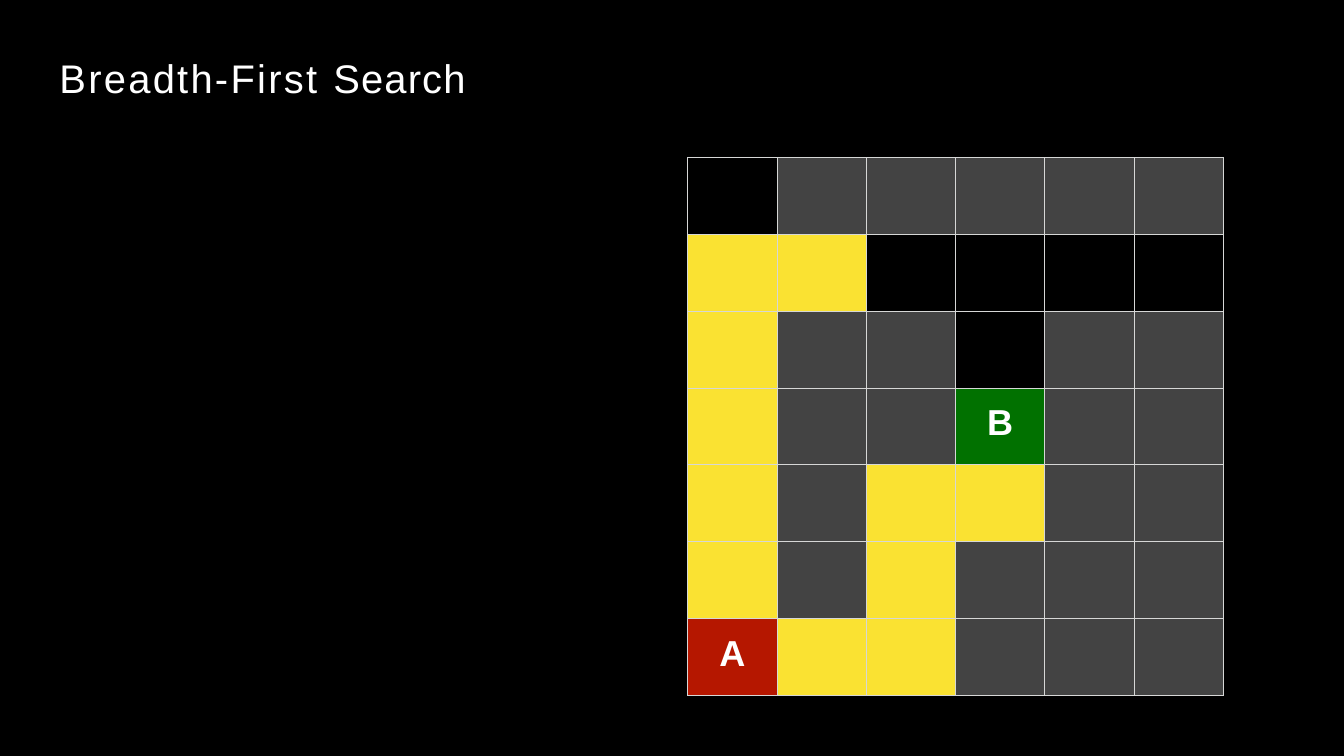
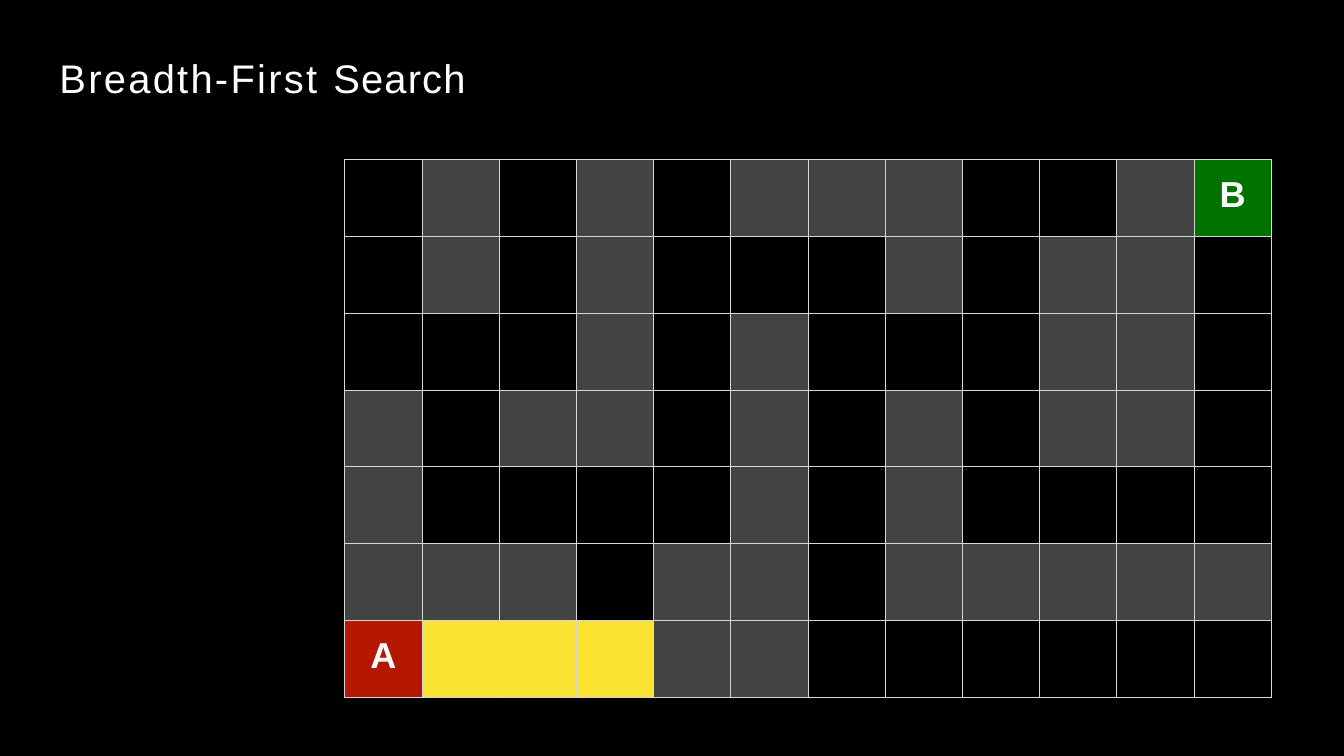
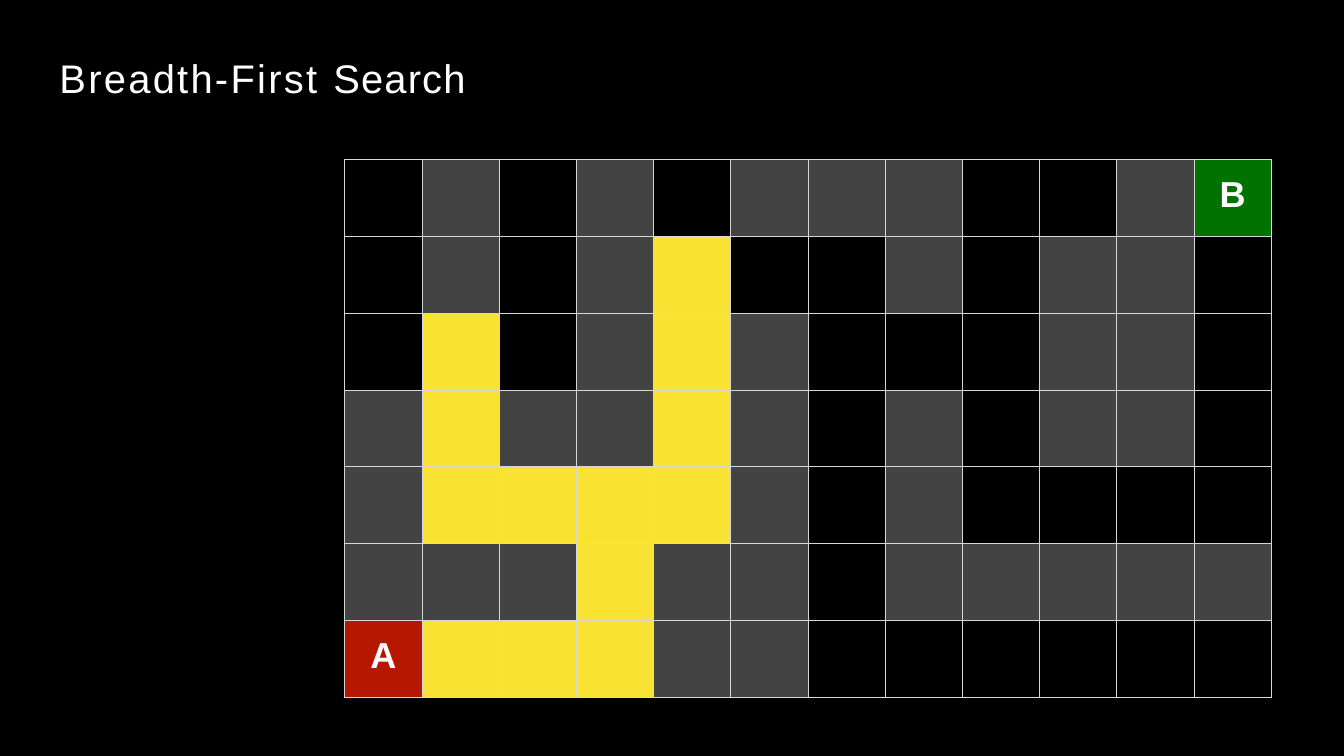
from lxml import etree
from pptx import Presentation
from pptx.dml.color import RGBColor
from pptx.enum import text as tx
from pptx.oxml.ns import qn
from pptx.util import Pt

HEX = {
    "back": "000000",
    "ink": "FFFFFF",
    "line": "D6D7D6",
    ".": "000000",
    "#": "434343",
    "*": "FAE232",
    "A": "B51700",
    "B": "017100",
}
FONT = "Arial"
WIDE, HIGH = Pt(1583), Pt(890.5)
ROW = 90.53

SMALL = """
.#####
**....
*##.##
*##B##
*#**##
*#*###
A**###
"""
LARGE = """
.#.#.###..#B
.#.#+..#.##.
.+.#+#...##.
#+##+#.#.##.
#++++#.#....
###+##.#####
A***##......
"""
MAZES = [
    (SMALL, 810, 185.5, 105.15),
    (LARGE.replace("+", "."), 406, 187.8, 90.95),
    (LARGE.replace("+", "*"), 406, 187.8, 90.95),
]


def write(para, words, size=42.5, bold=False, space=0, align=tx.PP_ALIGN.LEFT):
    para.alignment = align
    run = para.add_run()
    run.text = words
    font = run.font
    font.name, font.size, font.bold = FONT, Pt(size), bold
    font.color.rgb = RGBColor.from_string(HEX["ink"])
    if space:
        font._element.set("spc", str(round(space * 100)))


def border(cell):
    props = cell._tc.get_or_add_tcPr()
    for side in ("lnL", "lnR", "lnT", "lnB"):
        line = etree.SubElement(props, qn("a:" + side), w=str(Pt(1)))
        fill = etree.SubElement(line, qn("a:solidFill"))
        etree.SubElement(fill, qn("a:srgbClr"), val=HEX["line"])


prs = Presentation()
prs.slide_width, prs.slide_height = WIDE, HIGH

for maze, left, top, width in MAZES:
    slide = prs.slides.add_slide(prs.slide_layouts[5])

    title = slide.shapes.title
    title.left, title.top, title.width, title.height = Pt(69), Pt(62), Pt(481), Pt(58.5)
    frame = title.text_frame
    frame.margin_left = frame.margin_right = frame.margin_bottom = 0
    frame.margin_top = Pt(1)
    frame.vertical_anchor = tx.MSO_ANCHOR.TOP
    frame.auto_size = tx.MSO_AUTO_SIZE.SHAPE_TO_FIT_TEXT
    frame.word_wrap = True
    head = frame.paragraphs[0]
    head._p.get_or_add_pPr().set("marL", str(Pt(1)))
    write(head, "Breadth-First ", size=47, space=2.7)
    write(head, "Search", size=47, space=1.4)

    rows = maze.split()
    high, wide = len(rows), len(rows[0])
    table = slide.shapes.add_table(
        high, wide, Pt(left), Pt(top), Pt(width * wide), Pt(ROW * high)
    ).table
    table.first_row = table.horz_banding = False
    for col in table.columns:
        col.width = Pt(width)
    for y, row in enumerate(rows):
        table.rows[y].height = Pt(ROW)
        for x, mark in enumerate(row):
            cell = table.cell(y, x)
            border(cell)
            cell.fill.solid()
            cell.fill.fore_color.rgb = RGBColor.from_string(HEX[mark])
            if mark in "AB":
                cell.margin_left = cell.margin_right = cell.margin_bottom = 0
                cell.margin_top = Pt(18)
                write(cell.text_frame.paragraphs[0], mark, bold=True, align=tx.PP_ALIGN.CENTER)

form = prs.slides[0].shapes.build_freeform(WIDE, 0)
form.add_line_segments([(0, 0), (0, HIGH), (WIDE, HIGH)], close=True)
back = form.convert_to_shape()
back.shadow.inherit = False
back.fill.solid()
back.fill.fore_color.rgb = RGBColor.from_string(HEX["back"])
back.line.fill.background()
prs.slide_master.shapes._spTree.insert(2, back._element)

prs.save("out.pptx")
